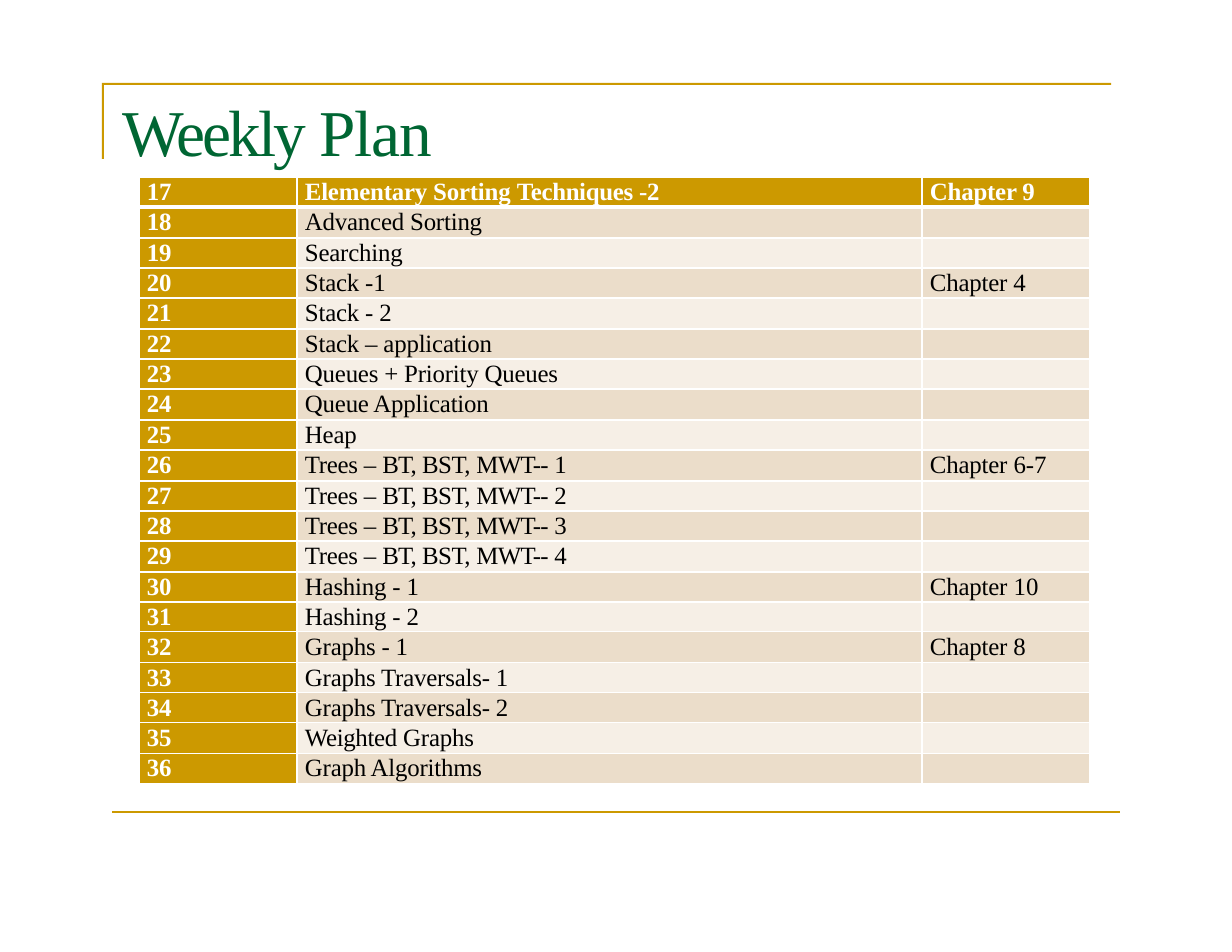
"""Build the Weekly Plan slide: a framed title above a table of lectures 17 to 36."""
import lxml.etree
import pptx
import pptx.dml.color
import pptx.enum.text
import pptx.oxml.ns
import pptx.util

SCALE = 914400 / 112
GOLD, GREEN, WHITE, BLACK = "CC9900", "006633", "FFFFFF", "000000"
BANDS = ["F6EFE6", "EBDDCA"]


def paint(fill, color):
    fill.solid()
    fill.fore_color.rgb = pptx.dml.color.RGBColor.from_string(color)


def write(frame, text, size=16, color=BLACK, bold=False, spacing=-0.1, line=None):
    """Fill a frame with a string, or with (string, letter spacing) pieces."""
    paragraph = frame.paragraphs[0]
    if line:
        paragraph.line_spacing = pptx.util.Pt(line)
    paragraph._p.get_or_add_endParaRPr().set("sz", str(size * 100))
    pieces = [(text, spacing)] if isinstance(text, str) else text
    for words, gap in pieces:
        if words:
            run = paragraph.add_run()
            run.text = words
            run.font.name = "Times New Roman"
            run.font.size = pptx.util.Pt(size)
            run.font.bold = bold
            paint(run.font.fill, color)
            run.font._element.set("spc", str(round(gap * 100)))


deck = pptx.Presentation()
deck.slide_width = pptx.util.Inches(11)
deck.slide_height = pptx.util.Inches(8.5)
slide = deck.slides.add_slide(deck.slide_layouts[6])

corner_rule = [(1111, 83), (102, 83), (102, 159), (104, 159), (104, 85), (1111, 85)]
bottom_rule = [(112, 811), (1120, 811), (1120, 813), (112, 813)]
for outline in (corner_rule, bottom_rule):
    builder = slide.shapes.build_freeform(*outline[0], scale=SCALE)
    builder.add_line_segments(outline[1:], close=True)
    rule = builder.convert_to_shape()
    rule.shadow.inherit = False
    paint(rule.fill, GOLD)
    rule.line.fill.background()

title = slide.shapes.add_textbox(*[round(n * SCALE) for n in (123, 88, 316, 82)]).text_frame
title.word_wrap = True
title.margin_left = title.margin_right = title.margin_top = title.margin_bottom = 0
title.vertical_anchor = pptx.enum.text.MSO_ANCHOR.BOTTOM
write(title, [("Weekly ", -1.9), ("Plan", -0.8)], size=42, color=GREEN)

trees = [("Trees ", -0.2), ("– ", -0.1), ("BT, ", -0.5), ("BST, ", -0.3), ("MWT-- ", -0.4)]
topics = [
    [("Elementary Sorting ", -0.1), ("Techniques ", -0.2), ("-2", -0.1)],
    "Advanced Sorting",
    "Searching",
    "Stack -1",
    "Stack - 2",
    "Stack – application",
    "Queues + Priority Queues",
    "Queue Application",
    "Heap",
    *[trees + [(part, -0.1)] for part in "1234"],
    "Hashing - 1",
    "Hashing - 2",
    "Graphs - 1",
    "Graphs Traversals- 1",
    "Graphs Traversals- 2",
    [("Weighted ", -0.2), ("Graphs", -0.1)],
    "Graph Algorithms",
]
chapters = {
    17: "Chapter 9",
    20: "Chapter 4",
    26: [("Chapter ", -0.1), ("6-7", 0)],
    30: [("Chapter ", -0.1), ("10", 0.1)],
    32: "Chapter 8",
}

widths = [158, 625, 168]
edges = [round(607 * n / len(topics)) for n in range(len(topics) + 1)]
plan = slide.shapes.add_table(
    len(topics), len(widths),
    *[round(n * SCALE) for n in (139, 177, sum(widths), edges[-1])]).table
plan.first_row = plan.horz_banding = False
for column, width in zip(plan.columns, widths):
    column.width = round(width * SCALE)

for index, topic in enumerate(topics):
    plan.rows[index].height = round((edges[index + 1] - edges[index]) * SCALE)
    lecture = 17 + index
    for position, content in enumerate([str(lecture), topic, chapters.get(lecture, "")]):
        cell = plan.cell(index, position)
        cell.margin_left = round(8 * SCALE)
        cell.margin_right = cell.margin_top = cell.margin_bottom = 0
        heading = index == 0 or position == 0
        for side in ("lnL", "lnR", "lnT", "lnB"):
            thick = (index, side) in [(0, "lnB"), (1, "lnT")]
            border = lxml.etree.SubElement(
                cell._tc.get_or_add_tcPr(), pptx.oxml.ns.qn("a:" + side),
                w=str(pptx.util.Pt(3 if thick else 1)))
            solid = lxml.etree.SubElement(border, pptx.oxml.ns.qn("a:solidFill"))
            lxml.etree.SubElement(solid, pptx.oxml.ns.qn("a:srgbClr"), val=WHITE)
        paint(cell.fill, GOLD if heading else BANDS[index % 2])
        write(cell.text_frame, content, color=WHITE if heading else BLACK,
              bold=heading, line=18.4 if index % 2 else 18.6)

deck.save("out.pptx")
